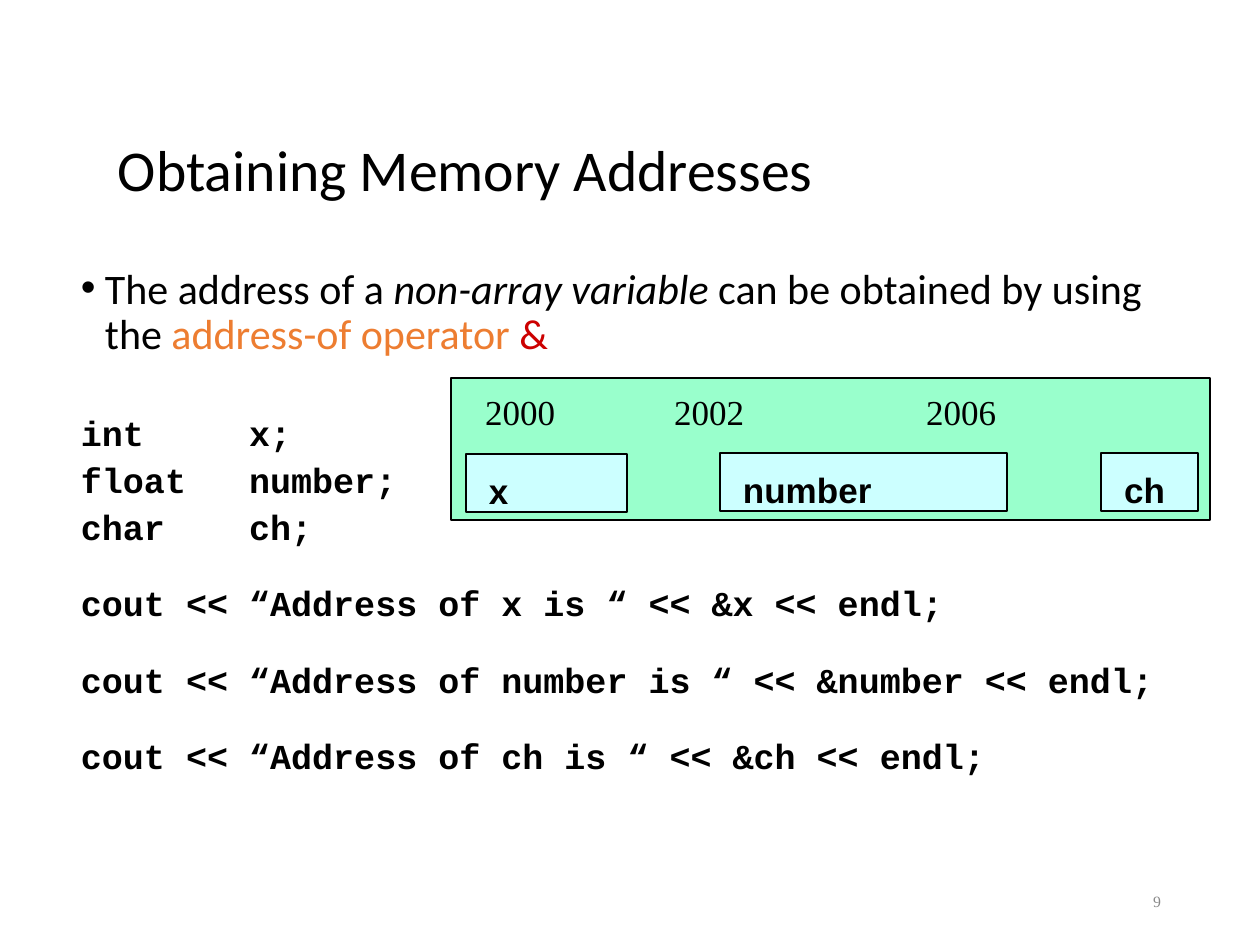
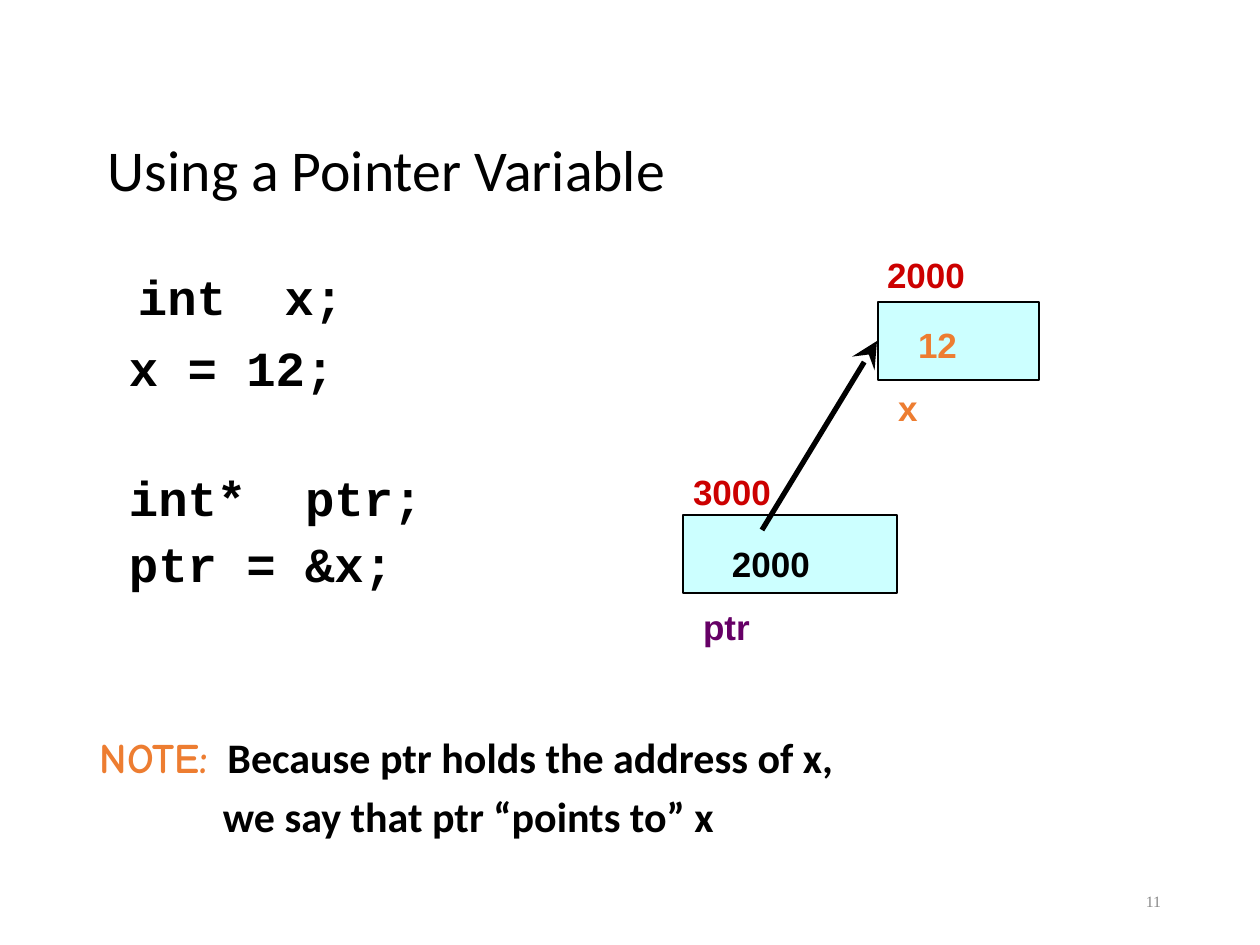
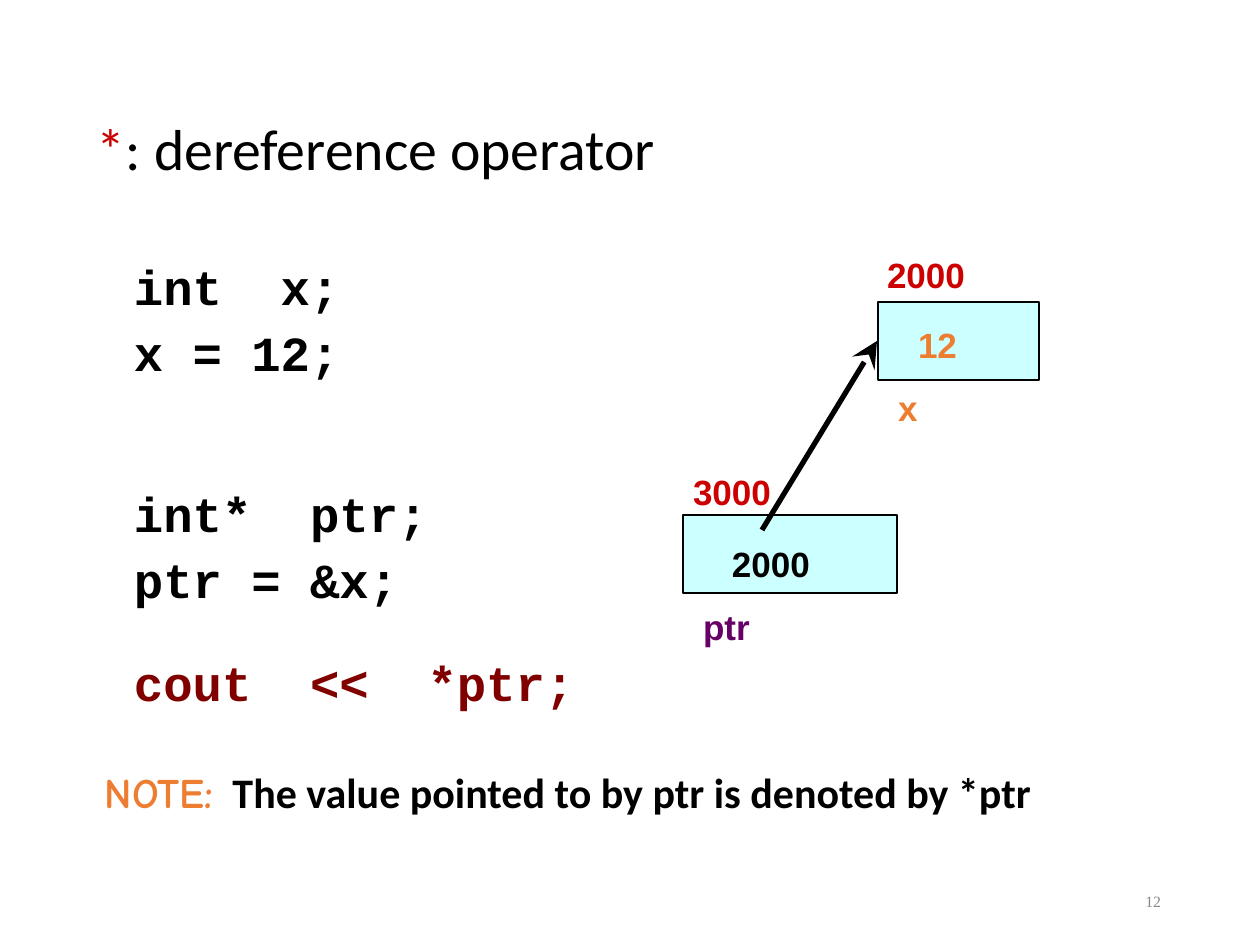
from dataclasses import dataclass, replace

from lxml import etree
from pptx import Presentation
from pptx import util as u
from pptx.dml.color import RGBColor
from pptx.enum import shapes, text
from pptx.oxml import ns

EMU_PER_PX = 914400 / 126


@dataclass(frozen=True)
class Theme:
    ink: str = "000000"
    red: str = "CC0000"
    orange: str = "ED7D31"
    purple: str = "660066"
    maroon: str = "800000"
    grey: str = "898989"
    memory: str = "99FFCC"
    cell: str = "CCFFFF"
    body_font: str = "Calibri"
    code_font: str = "Courier New"
    label_font: str = "Arial"
    note_font: str = "Comic Neue"
    number_font: str = "Times New Roman"
    title_size: int = 33
    code_size: int = 28
    body_size: int = 24
    small_size: int = 20
    number_size: int = 9


THEME = Theme()


@dataclass(frozen=True)
class Area:
    left: int
    top: int
    width: int
    height: int


@dataclass(frozen=True)
class Span:
    words: str
    size: int = THEME.body_size
    font: str = THEME.body_font
    color: str = THEME.ink
    bold: bool = False
    italic: bool = False


@dataclass(frozen=True)
class Para:
    """A paragraph; margin and hanging are px, before is points."""
    spans: tuple[Span, ...]
    before: float = 0
    margin: int = 0
    hanging: int = 0
    spacing: float = 1.0
    bullet: str = ""
    align: text.PP_ALIGN = text.PP_ALIGN.LEFT


@dataclass(frozen=True)
class Cell:
    area: Area
    label: str = ""
    fill: str = THEME.cell
    line_width: float = 1


TITLE_HEIGHT = 158
PAGE_NUMBER = Area(890, 876, 284, 50)
INSET_X, INSET_Y = 13, 6
PARA_GAP = 7.5

LABEL = Span("", THEME.small_size, THEME.label_font, bold=True)
CODE = Span("", THEME.code_size, THEME.code_font, bold=True)
SMALL_CODE = replace(CODE, size=THEME.small_size)
NOTE_HEAD = Span("NOTE:", font=THEME.note_font, color=THEME.orange, bold=True)
NOTE_TEXT = Span("", bold=True)

VARIABLES = {"x": "int", "number": "float", "ch": "char"}
POINTER_CELLS = (Cell(Area(878, 302, 161, 78)), Cell(Area(683, 515, 214, 78)))
POINTER_ARROW = ((762, 530), (877, 341))
POINTER_LABELS = Area(680, 247, 473, 450)


def px(length: float) -> int:
    return u.Emu(round(length * EMU_PER_PX))


def corners(area: Area) -> tuple[int, int, int, int]:
    return px(area.left), px(area.top), px(area.width), px(area.height)


def add_para_marks(properties, para: Para) -> None:
    """Set indents and bullet."""
    properties.set("marL", str(px(para.margin)))
    properties.set("indent", str(px(-para.hanging)))
    if para.bullet:
        etree.SubElement(properties, ns.qn("a:buFont"), typeface=THEME.label_font)
        etree.SubElement(properties, ns.qn("a:buChar"), char=para.bullet)


def fill_frame(frame, paras: tuple[Para, ...], anchor=text.MSO_ANCHOR.TOP,
               inset_x: int = INSET_X, inset_y: int = INSET_Y) -> None:
    frame.word_wrap = True
    frame.vertical_anchor = anchor
    frame.margin_left, frame.margin_right = px(inset_x), px(INSET_X)
    frame.margin_top, frame.margin_bottom = px(inset_y), px(INSET_Y)
    for index, para in enumerate(paras):
        paragraph = frame.add_paragraph() if index else frame.paragraphs[0]
        paragraph.alignment = para.align
        paragraph.line_spacing = para.spacing
        paragraph.space_before = u.Pt(para.before)
        add_para_marks(paragraph._p.get_or_add_pPr(), para)
        for span in para.spans:
            run = paragraph.add_run()
            run.text = span.words
            run.font.name = span.font
            run.font.size = u.Pt(span.size)
            run.font.bold = span.bold
            run.font.italic = span.italic
            run.font.color.rgb = RGBColor.from_string(span.color)


def add_text(page, area: Area, *paras: Para, anchor=text.MSO_ANCHOR.TOP,
             inset_y: int = INSET_Y) -> None:
    box = page.shapes.add_textbox(*corners(area))
    fill_frame(box.text_frame, paras, anchor, inset_y=inset_y)


def add_cell(page, cell: Cell) -> None:
    box = page.shapes.add_shape(shapes.MSO_SHAPE.RECTANGLE, *corners(cell.area))
    box.shadow.inherit = False
    box.fill.solid()
    box.fill.fore_color.rgb = RGBColor.from_string(cell.fill)
    box.line.color.rgb = RGBColor.from_string(THEME.ink)
    box.line.width = u.Pt(cell.line_width)
    if cell.label:
        label = Para((replace(LABEL, words=cell.label),))
        fill_frame(box.text_frame, (label,), inset_x=23, inset_y=15)


def add_arrow(page, start: tuple[int, int], end: tuple[int, int]) -> None:
    arrow = page.shapes.add_connector(
        shapes.MSO_CONNECTOR.STRAIGHT, *map(px, start + end))
    arrow.line.color.rgb = RGBColor.from_string(THEME.ink)
    arrow.line.width = u.Pt(3)
    etree.SubElement(arrow.line._get_or_add_ln(), ns.qn("a:tailEnd"),
                     type="stealth", w="lg", len="lg")
    etree.SubElement(arrow._element.spPr, ns.qn("a:effectLst"))


def add_page(deck, number: int, left: int, top: int, *title: Span):
    """Add a page with its title and page number."""
    page = deck.slides.add_slide(deck.slide_layouts[6])
    spans = tuple(replace(span, size=THEME.title_size) for span in title)
    add_text(page, Area(left, top, 1071, TITLE_HEIGHT), Para(spans, spacing=0.9),
             anchor=text.MSO_ANCHOR.BOTTOM)
    digits = Span(str(number), THEME.number_size, THEME.number_font, THEME.grey)
    add_text(page, PAGE_NUMBER, Para((digits,), align=text.PP_ALIGN.RIGHT),
             anchor=text.MSO_ANCHOR.MIDDLE)
    return page


def code_line(words: str, before: float = PARA_GAP, margin: int = 29,
              color: str = THEME.ink) -> Para:
    return Para((replace(CODE, words=words, color=color),), before, margin, spacing=0.9)


def small_code_line(words: str, before: float = PARA_GAP) -> Para:
    return Para((replace(SMALL_CODE, words=words),), before, spacing=0.8)


def note_line(words: str, before: float) -> Para:
    spans = (NOTE_HEAD, replace(NOTE_TEXT, words=words))
    return Para(spans, before, spacing=0.9)


def memory_label(words: str, color: str, margin: int, before: float = 0) -> Para:
    return Para((replace(LABEL, words=words, color=color),), before, margin)


def add_pointer_diagram(page) -> None:
    for cell in POINTER_CELLS:
        add_cell(page, cell)
    add_arrow(page, *POINTER_ARROW)
    add_text(
        page, POINTER_LABELS,
        memory_label("2000", THEME.red, 194),
        memory_label("12", THEME.orange, 225, 16.5),
        memory_label("x", THEME.orange, 205, 12),
        memory_label("3000", THEME.red, 0, 24),
        memory_label("2000", THEME.ink, 39, 17),
        memory_label("ptr", THEME.purple, 10, 12),
    )


def add_addresses_page(deck) -> None:
    page = add_page(deck, 9, 105, 52, Span("Obtaining Memory Addresses"))
    statement = (
        Span("The address of a "),
        Span("non-array variable", italic=True),
        Span(" can be obtained by using the "),
        Span("address-of operator ", color=THEME.orange),
        Span("&", color=THEME.red),
        Span(" ", size=28),
    )
    add_text(
        page, Area(68, 202, 1121, 659),
        Para(statement, 0, 24, 24, 0.8, "•"),
        *(small_code_line(f"{kind:<8}{name};", PARA_GAP if index else 34.5)
          for index, (name, kind) in enumerate(VARIABLES.items())),
        *(small_code_line(f"cout << “Address of {name} is “ << &{name} << endl;", 24.5)
          for name in VARIABLES),
        inset_y=70,
    )
    add_cell(page, Cell(Area(451, 378, 759, 142), fill=THEME.memory, line_width=0.75))
    add_cell(page, Cell(Area(466, 454, 161, 58), "x"))
    add_cell(page, Cell(Area(720, 453, 287, 58), "number"))
    add_cell(page, Cell(Area(1101, 453, 97, 58), "ch"))
    addresses = Span("2000\t\t2002\t\t\t2006", THEME.small_size, THEME.number_font)
    add_text(page, Area(472, 384, 747, 55), Para((addresses,)))


def add_pointer_page(deck) -> None:
    page = add_page(deck, 11, 95, 52, Span("Using a Pointer Variable"))
    add_text(
        page, Area(87, 255, 1084, 617),
        code_line("int  x;", margin=38),
        code_line("x = 12;", 10.5),
        code_line("int*  ptr;", 44),
        code_line("ptr = &x;"),
        note_line("  Because ptr holds the address of x,", 82.5),
        Para((replace(NOTE_TEXT, words="we say that ptr “points to” x"),),
             PARA_GAP, 123, spacing=0.9),
        inset_y=18,
    )
    add_pointer_diagram(page)


def add_dereference_page(deck) -> None:
    page = add_page(deck, 12, 84, 31, Span("*", color=THEME.red),
                    Span(": dereference operator"))
    add_text(
        page, Area(92, 257, 1084, 586),
        code_line("int  x;"),
        code_line("x = 12;"),
        code_line("int*  ptr;", 62),
        code_line("ptr = &x;"),
        code_line("cout  <<  *ptr;", 28.5, color=THEME.maroon),
        note_line("  The value pointed to by ptr is denoted by *ptr", 34),
    )
    add_pointer_diagram(page)


def main() -> None:
    deck = Presentation()
    deck.slide_width, deck.slide_height = px(1260), px(945)
    add_addresses_page(deck)
    add_pointer_page(deck)
    add_dereference_page(deck)
    deck.save("out.pptx")


if __name__ == "__main__":
    main()
